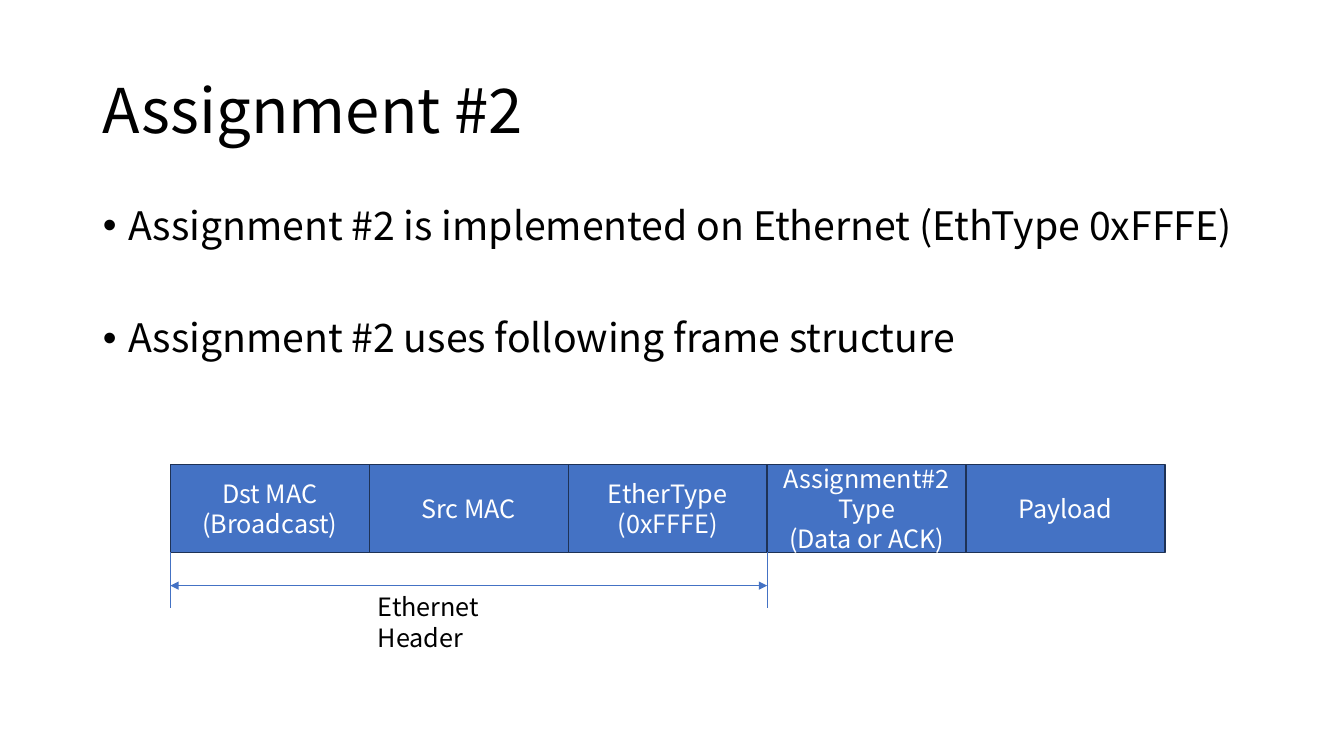
from pptx import Presentation
from pptx.dml.color import RGBColor
from pptx.enum.shapes import MSO_CONNECTOR, MSO_SHAPE
from pptx.enum.text import MSO_ANCHOR, MSO_AUTO_SIZE, PP_ALIGN
from pptx.oxml.ns import qn
from pptx.util import Inches, Pt
from lxml import etree

TITLE = "Assignment #2"
BULLETS = [
    # text, space before in points
    ("Assignment #2 is implemented on Ethernet (EthType 0xFFFE)", 10),
    ("Assignment #2 uses following frame structure", 50),
]
FRAME_FIELDS = [
    "Dst MAC\n(Broadcast)",
    "Src MAC",
    "EtherType\v(0xFFFE)",
    "Assignment#2\vType\v(Data or ACK)",
    "Payload",
]
HEADER_LABEL = "Ethernet\vHeader"
HEADER_FIELD_COUNT = 3

FONT = "Noto Sans CJK KR"
BLACK = RGBColor(0x00, 0x00, 0x00)
WHITE = RGBColor(0xFF, 0xFF, 0xFF)
BLUE = RGBColor(0x44, 0x72, 0xC4)
NAVY = RGBColor(0x1E, 0x32, 0x56)

LEFT, CENTER = PP_ALIGN.LEFT, PP_ALIGN.CENTER
TOP, MIDDLE = MSO_ANCHOR.TOP, MSO_ANCHOR.MIDDLE

FRAME_LEFT, FRAME_TOP = 1.69, 4.61
FIELD_WIDTH, FIELD_HEIGHT = 1.973, 0.87
FRAME_BOTTOM = FRAME_TOP + FIELD_HEIGHT
TICK_BOTTOM, ARROW_Y = 6.03, 5.81


def place(shape, left, top, width, height):
    shape.left, shape.top = Inches(left), Inches(top)
    shape.width, shape.height = Inches(width), Inches(height)


def format_text(shape, size, color, alignment, anchor):
    text_frame = shape.text_frame
    text_frame.word_wrap = True
    text_frame.auto_size = MSO_AUTO_SIZE.NONE
    text_frame.vertical_anchor = anchor
    for paragraph in text_frame.paragraphs:
        paragraph.alignment = alignment
        paragraph.font.name = FONT
        paragraph.font.size = Pt(size)
        paragraph.font.color.rgb = color


def add_line(slide, x1, y1, x2, y2, arrowheads=False):
    connector = slide.shapes.add_connector(
        MSO_CONNECTOR.STRAIGHT, Inches(x1), Inches(y1), Inches(x2), Inches(y2))
    connector.line.color.rgb = BLUE
    connector.line.width = Pt(0.5)
    if arrowheads:
        line = connector.line._get_or_add_ln()
        for end in ("a:headEnd", "a:tailEnd"):
            etree.SubElement(line, qn(end), type="triangle")
    etree.SubElement(connector._element.spPr, qn("a:effectLst"))


def add_title_and_bullets(slide):
    title, body = slide.shapes.title, slide.placeholders[1]
    place(title, 0.92, 0.4, 11.5, 1.45)
    title.text_frame.text = TITLE
    format_text(title, 44, BLACK, LEFT, MIDDLE)
    title.text_frame.paragraphs[0].line_spacing = 0.9

    place(body, 0.92, 2, 11.5, 4.76)
    body.text_frame.text = "\n".join(text for text, _ in BULLETS)
    format_text(body, 28, BLACK, LEFT, TOP)
    for paragraph, (_, space_before) in zip(body.text_frame.paragraphs, BULLETS):
        paragraph.line_spacing = 0.9
        paragraph.space_before = Pt(space_before)
        properties = paragraph._p.get_or_add_pPr()
        properties.set("marL", str(Inches(0.25)))
        properties.set("indent", str(Inches(-0.25)))
        etree.SubElement(properties, qn("a:buFont"), typeface="Arial")
        etree.SubElement(properties, qn("a:buChar"), char="•")
        # The schema wants the default run properties after the bullet.
        properties.append(properties.find(qn("a:defRPr")))


def add_frame_fields(slide):
    for index, text in enumerate(FRAME_FIELDS):
        field = slide.shapes.add_shape(
            MSO_SHAPE.RECTANGLE, Inches(FRAME_LEFT + index * FIELD_WIDTH),
            Inches(FRAME_TOP), Inches(FIELD_WIDTH), Inches(FIELD_HEIGHT))
        field.shadow.inherit = False
        field.fill.solid()
        field.fill.fore_color.rgb = BLUE
        field.line.color.rgb = NAVY
        field.line.width = Pt(1)
        field.text_frame.text = text
        format_text(field, 18, WHITE, CENTER, MIDDLE)


def add_header_dimension(slide):
    header_right = FRAME_LEFT + HEADER_FIELD_COUNT * FIELD_WIDTH
    for x in (FRAME_LEFT, header_right):
        add_line(slide, x, FRAME_BOTTOM, x, TICK_BOTTOM)
    add_line(slide, FRAME_LEFT, ARROW_Y, header_right, ARROW_Y, arrowheads=True)
    label = slide.shapes.add_textbox(
        Inches(3.65), Inches(5.82), Inches(2.07), Inches(0.4))
    label.text_frame.text = HEADER_LABEL
    format_text(label, 18, BLACK, LEFT, TOP)


def main():
    presentation = Presentation()
    presentation.slide_width = Inches(13.33)
    presentation.slide_height = Inches(7.5)
    slide = presentation.slides.add_slide(presentation.slide_layouts[1])
    add_title_and_bullets(slide)
    add_frame_fields(slide)
    add_header_dimension(slide)
    presentation.save("out.pptx")


if __name__ == "__main__":
    main()
